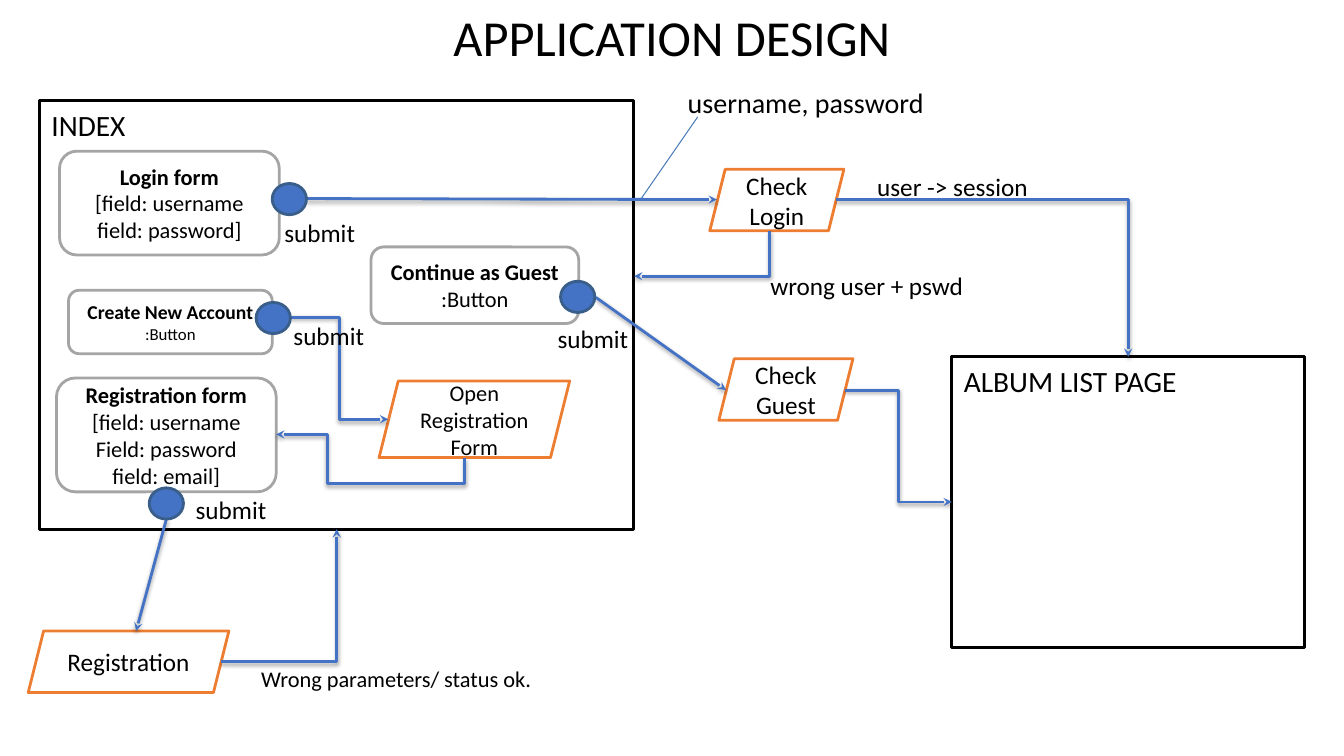
from lxml import etree
from pptx import Presentation
from pptx.dml.color import RGBColor
from pptx.enum.shapes import MSO_CONNECTOR, MSO_SHAPE
from pptx.enum.text import MSO_ANCHOR, PP_ALIGN
from pptx.oxml.ns import qn
from pptx.util import Inches, Pt

RECT, ROUND = MSO_SHAPE.RECTANGLE, MSO_SHAPE.ROUNDED_RECTANGLE
SKEWED, OVAL = MSO_SHAPE.PARALLELOGRAM, MSO_SHAPE.OVAL
STRAIGHT, ELBOW = MSO_CONNECTOR.STRAIGHT, MSO_CONNECTOR.ELBOW
TOP, MIDDLE = MSO_ANCHOR.TOP, MSO_ANCHOR.MIDDLE
LEFT, CENTER = PP_ALIGN.LEFT, PP_ALIGN.CENTER

BLACK = RGBColor(0x00, 0x00, 0x00)
WHITE = RGBColor(0xFF, 0xFF, 0xFF)
GRAY = RGBColor(0xA5, 0xA5, 0xA5)
ORANGE = RGBColor(0xED, 0x7D, 0x31)
BLUE = RGBColor(0x44, 0x72, 0xC4)
DOT_EDGE = RGBColor(0x39, 0x5E, 0x89)
CALLOUT_BLUE = RGBColor(0x4A, 0x7D, 0xBA)
FONT = "Calibri"

# Content: (left, top, width, height) in inches, then text
TITLE = "APPLICATION DESIGN"
PAGES = [
    ((0.39, 1, 5.89, 4.25), "INDEX"),
    ((9.44, 3.54, 3.5, 2.88), "ALBUM LIST PAGE"),
]
# Forms: heading, detail lines, heading size, detail size
FORMS = [
    ((0.59, 1.5, 2.18, 1.03), "Login form",
     ["[field: username", "field: password]"], 16, 16),
    ((3.68, 2.45, 2.06, 0.76), "Continue as Guest", [":Button"], 16, 16),
    ((0.68, 2.88, 2.02, 0.63), "Create New Account", [":Button"], 14, 12),
    ((0.56, 3.75, 2.18, 1.13), "Registration form",
     ["[field: username", "Field: password", "field: email]"], 16, 16),
]
ACTIONS = [
    ((7.04, 1.68, 1.33, 0.61), "Check\nLogin", 18),
    ((7.13, 3.56, 1.33, 0.61), "Check\nGuest", 18),
    ((3.76, 3.78, 1.89, 0.76), "Open Registration Form", 16),
    ((0.28, 6.26, 1.99, 0.61), "Registration", 18),
]
SUBMIT_DOTS = [(2.7, 1.82), (5.56, 2.79), (2.54, 3), (1.48, 4.84)]
DOT_SIZE = (0.34, 0.31)
SUBMIT_LABELS = [(2.7, 2.1), (5.41, 3.15), (2.79, 3.12), (1.82, 4.84)]
LABELS = [((x, y, 0.99, 0.4), "submit", 18) for x, y in SUBMIT_LABELS] + [
    ((6.7, 0.79, 2.59, 0.45), "username, password", 20),
    ((8.58, 1.64, 2.55, 0.4), "user -> session", 18),
    ((7.52, 2.62, 2.43, 0.4), "wrong user + pswd", 18),
    ((2.47, 6.54, 2.95, 0.38), "Wrong parameters/ status ok.", 16),
]
CALLOUT = ((6.92, 1.16), (6.36, 1.97))
STRAIGHT_ARROWS = [
    ((3.04, 1.97), (7.11, 1.98)),
    ((5.91, 2.95), (7.2, 3.87)),
    ((1.65, 5.15), (1.35, 6.26)),
]
# Bent arrows: from, to, leaves vertically, preset, adjustments
BENT_ARROWS = [
    ((8.29, 1.98), (11.19, 3.54), False, "bentConnector2", []),
    ((7.63, 2.29), (6.29, 2.74), True, "bentConnector2", []),
    ((2.19, 6.56), (3.34, 5.25), False, "bentConnector2", []),
    ((8.38, 3.87), (9.44, 4.98), False, "bentConnector3", [50000]),
    ((2.88, 3.15), (3.85, 4.16), False, "bentConnector3", [50000]),
    ((4.61, 4.54), (2.74, 4.31), True, "bentConnector4", [-110200, 72700]),
]

prs = Presentation()
prs.slide_width, prs.slide_height = Inches(13.33), Inches(7.5)
s = prs.slides.add_slide(prs.slide_layouts[5])


def inches(values):
    return [Inches(v) for v in values]


def write(sp, lines, align=LEFT, anchor=TOP):
    """Fill a shape with (text, size, bold) lines."""
    tf = sp.text_frame
    tf.word_wrap = True
    tf.vertical_anchor = anchor
    tf.margin_left = tf.margin_right = Inches(0.12)
    tf.margin_top = tf.margin_bottom = Inches(0.06)
    for i, (text, size, bold) in enumerate(lines):
        p = tf.add_paragraph() if i else tf.paragraphs[0]
        p.text = text
        p.alignment = align
        p.font.name, p.font.size, p.font.bold = FONT, Pt(size), bold
        p.font.color.rgb = BLACK


def add_box(kind, box, edge, fill=WHITE):
    sp = s.shapes.add_shape(kind, *inches(box))
    sp.shadow.inherit = False
    sp.fill.solid()
    sp.fill.fore_color.rgb = fill
    sp.line.color.rgb = edge
    sp.line.width = Pt(2)
    return sp


def add_line(kind, begin, end, color=BLUE, width=2, arrow=True):
    line = s.shapes.add_connector(kind, *inches(begin + end))
    line.line.color.rgb = color
    line.line.width = Pt(width)
    sp_pr = line._element.spPr
    effects = etree.SubElement(sp_pr, qn("a:effectLst"))
    if arrow:
        etree.SubElement(sp_pr.find(qn("a:ln")), qn("a:tailEnd"), type="stealth")
        shadow = etree.SubElement(
            effects, qn("a:outerShdw"), blurRad=str(Pt(3.1)), dist=str(Pt(1.6)),
            dir="5400000", rotWithShape="0")
        tint = etree.SubElement(shadow, qn("a:srgbClr"), val=str(BLACK))
        etree.SubElement(tint, qn("a:alpha"), val="38000")
    return line


def add_bent_arrow(begin, end, vertical, preset, adjustments):
    if vertical:  # lay out sideways around the centre, then turn by 90 degrees
        cx, cy = (begin[0] + end[0]) / 2, (begin[1] + end[1]) / 2
        begin, end = [(cx + y - cy, cy - x + cx) for x, y in (begin, end)]
    sp_pr = add_line(ELBOW, begin, end)._element.spPr
    if vertical:
        sp_pr.find(qn("a:xfrm")).set("rot", "5400000")
    geometry = sp_pr.find(qn("a:prstGeom"))
    geometry.set("prst", preset)
    guides = geometry.find(qn("a:avLst"))
    for i, value in enumerate(adjustments, 1):
        etree.SubElement(guides, qn("a:gd"), name=f"adj{i}", fmla=f"val {value}")


# Title
title = s.shapes.title
title.left, title.top, title.width, title.height = inches((0, 0.01, 13.33, 0.71))
write(title, [(TITLE, 36, False)], CENTER, MIDDLE)

# Pages, forms and actions
for box, name in PAGES:
    write(add_box(RECT, box, BLACK), [(name, 21, False)])
for box, heading, details, heading_size, detail_size in FORMS:
    lines = [(heading, heading_size, True)]
    lines += [(detail, detail_size, False) for detail in details]
    write(add_box(ROUND, box, GRAY), lines, CENTER, MIDDLE)
for box, name, size in ACTIONS:
    write(add_box(SKEWED, box, ORANGE), [(name, size, False)], CENTER, MIDDLE)

# Flow
add_line(STRAIGHT, *CALLOUT, CALLOUT_BLUE, 0.75, arrow=False)
for begin, end in STRAIGHT_ARROWS:
    add_line(STRAIGHT, begin, end)
for bent_arrow in BENT_ARROWS:
    add_bent_arrow(*bent_arrow)

# Submit dots and labels
for corner in SUBMIT_DOTS:
    add_box(OVAL, corner + DOT_SIZE, DOT_EDGE, BLUE)
for box, text, size in LABELS:
    write(s.shapes.add_textbox(*inches(box)), [(text, size, False)])

prs.save("out.pptx")
